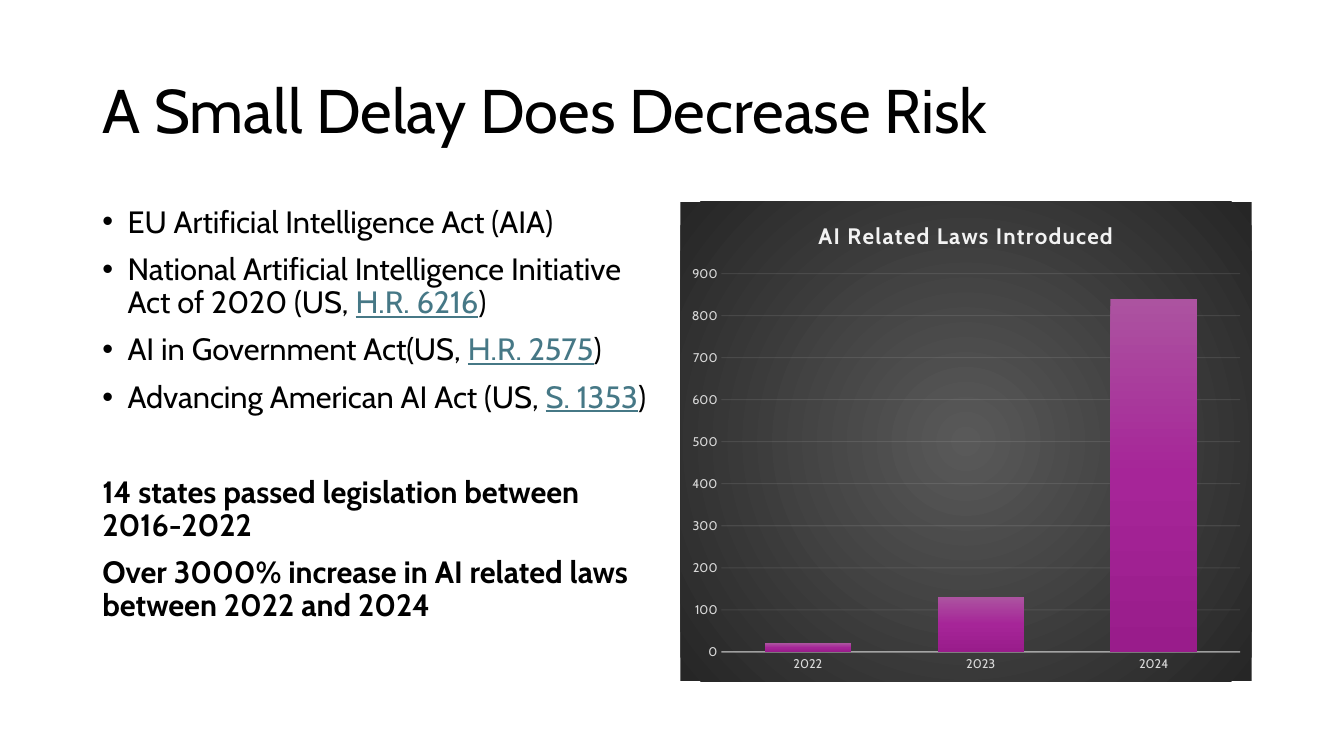
from dataclasses import dataclass

from lxml import etree
from pptx import Presentation, util as u
from pptx.chart.chart import Chart
from pptx.chart.data import CategoryChartData
from pptx.dml.color import RGBColor
from pptx.enum import chart as charts, text
from pptx.oxml import parse_xml
from pptx.oxml.ns import nsdecls, qn
from pptx.slide import Slide
from pptx.text.text import Font, TextFrame

FONT = "Cabin"
COLORS = {
    "ink": "000000", "link": "467886", "label": "D9D9D9", "pale": "F2F2F2",
    "glow": "595959", "dark": "262626",
    "bar_top": "AC53A0", "bar_middle": "A62598", "bar_base": "991C8B",
}
CHART_TITLE = "AI Related Laws Introduced"
LAWS = {"2022": 20, "2023": 130, "2024": 840}
CELL = u.Inches(1 / 12)
COLUMNS, ROWS = 160, 90


@dataclass(frozen=True)
class Area:
    column: float
    row: float
    columns: float
    rows: float

    def lengths(self) -> tuple[int, ...]:
        return tuple(int(n * CELL) for n in (self.column, self.row, self.columns, self.rows))


@dataclass(frozen=True)
class Point:
    lead: str
    link: str = ""
    tail: str = ""
    bullet: bool = True
    before: float = 10


TITLE_AREA = Area(11, 4.8, 138, 17.4)
POINTS_AREA = Area(11, 24, 68, 57.1)
CHART_AREA = Area(81, 24, 68, 57.1)
POINTS = [
    Point("EU Artificial Intelligence Act (AIA)", before=0),
    Point("National Artificial Intelligence Initiative Act of 2020 (US, ", "H.R. 6216", ")"),
    Point("AI in Government Act(US, ", "H.R. 2575", ")"),
    Point("Advancing American AI Act (US, ", "S. 1353", ")"),
    Point("14 states passed legislation between 2016-2022", bullet=False, before=44),
    Point("Over 3000% increase in AI related laws between 2022 and 2024", bullet=False),
]


def style(font: Font, size: float, color: str, bold: bool = False) -> None:
    font.name, font.size, font.bold = FONT, u.Pt(size), bold
    font.color.rgb = RGBColor.from_string(COLORS[color])


def add_title(page: Slide) -> None:
    title = page.shapes.title
    title.left, title.top, title.width, title.height = TITLE_AREA.lengths()
    frame = title.text_frame
    frame.text = "A Small Delay Does Decrease Risk"
    frame.auto_size = text.MSO_AUTO_SIZE.NONE
    frame.vertical_anchor = text.MSO_ANCHOR.MIDDLE
    para = frame.paragraphs[0]
    para.alignment, para.line_spacing = text.PP_ALIGN.LEFT, 0.9
    style(para.runs[0].font, 44, "ink")


def add_point(frame: TextFrame, index: int, point: Point) -> None:
    para = frame.add_paragraph() if index else frame.paragraphs[0]
    para.text = point.lead
    para.line_spacing, para.space_before = 0.9, u.Pt(point.before)
    if point.bullet:
        properties = para._p.get_or_add_pPr()
        properties.set("marL", str(u.Inches(0.25)))
        properties.set("indent", str(u.Inches(-0.25)))
        etree.SubElement(properties, qn("a:buFont")).set("typeface", "Arial")
        etree.SubElement(properties, qn("a:buChar")).set("char", "•")
    for words in filter(None, (point.link, point.tail)):
        para.add_run().text = words
    for span in para.runs:
        linked = bool(point.link) and span.text == point.link
        style(span.font, 22, "link" if linked else "ink", not point.bullet)
        span.font.underline = linked


def add_points(page: Slide) -> None:
    frame = page.shapes.add_textbox(*POINTS_AREA.lengths()).text_frame
    frame.word_wrap = True
    for index, point in enumerate(POINTS):
        add_point(frame, index, point)


def gradient(names: list[str], direction: str) -> etree._Element:
    step = 100000 // (len(names) - 1)
    stops = "".join(
        f'<a:gs pos="{i * step}"><a:srgbClr val="{COLORS[name]}"/></a:gs>'
        for i, name in enumerate(names)
    )
    return parse_xml(
        f'<a:gradFill {nsdecls("a")} rotWithShape="1">'
        f"<a:gsLst>{stops}</a:gsLst>{direction}</a:gradFill>"
    )


def fill_background(chart: Chart) -> None:
    radial = (
        '<a:path path="circle">'
        '<a:fillToRect l="50000" t="50000" r="50000" b="50000"/></a:path>'
    )
    properties = parse_xml(
        f'<c:spPr {nsdecls("c", "a")}><a:ln><a:noFill/></a:ln></c:spPr>'
    )
    properties.insert(0, gradient(["glow", "dark"], radial))
    chart.element.find(qn("c:chart")).addnext(properties)


def fade_line(chart: Chart, query: str, percent: int) -> None:
    for color in chart.element.xpath(f"{query}/c:spPr/a:ln//a:srgbClr"):
        etree.SubElement(color, qn("a:alpha")).set("val", str(percent * 1000))


def format_axes(chart: Chart) -> None:
    categories, values = chart.category_axis, chart.value_axis
    for axis in (categories, values):
        axis.major_tick_mark = axis.minor_tick_mark = charts.XL_TICK_MARK.NONE
        style(axis.tick_labels.font, 9, "label")
    values.minimum_scale, values.maximum_scale, values.major_unit = 0, 900, 100
    values.format.line.fill.background()
    values.has_major_gridlines = True
    for line, width in ((categories.format.line, 1), (values.major_gridlines.format.line, 0.75)):
        line.color.rgb = RGBColor.from_string(COLORS["pale"])
        line.width = u.Pt(width)
    fade_line(chart, ".//c:catAx", 54)
    fade_line(chart, ".//c:majorGridlines", 10)


def add_laws_chart(page: Slide) -> None:
    data = CategoryChartData()
    data.categories = list(LAWS)
    data.add_series(CHART_TITLE, list(LAWS.values()))
    chart = page.shapes.add_chart(
        charts.XL_CHART_TYPE.COLUMN_CLUSTERED, *CHART_AREA.lengths(), data
    ).chart
    style(chart.font, 10, "ink")
    chart.has_legend = False
    chart.has_title = True
    frame = chart.chart_title.text_frame
    frame.text = CHART_TITLE
    heading = frame.paragraphs[0].runs[0].font
    style(heading, 16, "pale", True)
    frame.paragraphs[0].runs[0]._r.get_or_add_rPr().set("spc", "100")
    chart.chart_title.include_in_layout = False
    plot = chart.plots[0]
    plot.vary_by_categories, plot.gap_width, plot.overlap = False, 100, -24
    plot.series[0].format.fill.gradient()
    bars = chart.element.xpath(".//c:ser/c:spPr/a:gradFill")[0]
    bars.getparent().replace(
        bars,
        gradient(["bar_top", "bar_middle", "bar_base"], '<a:lin ang="5400000" scaled="0"/>'),
    )
    format_axes(chart)
    fill_background(chart)


def main() -> None:
    deck = Presentation()
    deck.slide_width, deck.slide_height = COLUMNS * CELL, ROWS * CELL
    page = deck.slides.add_slide(deck.slide_layouts.get_by_name("Title Only"))
    add_title(page)
    add_points(page)
    add_laws_chart(page)
    deck.save("out.pptx")


if __name__ == "__main__":
    main()
